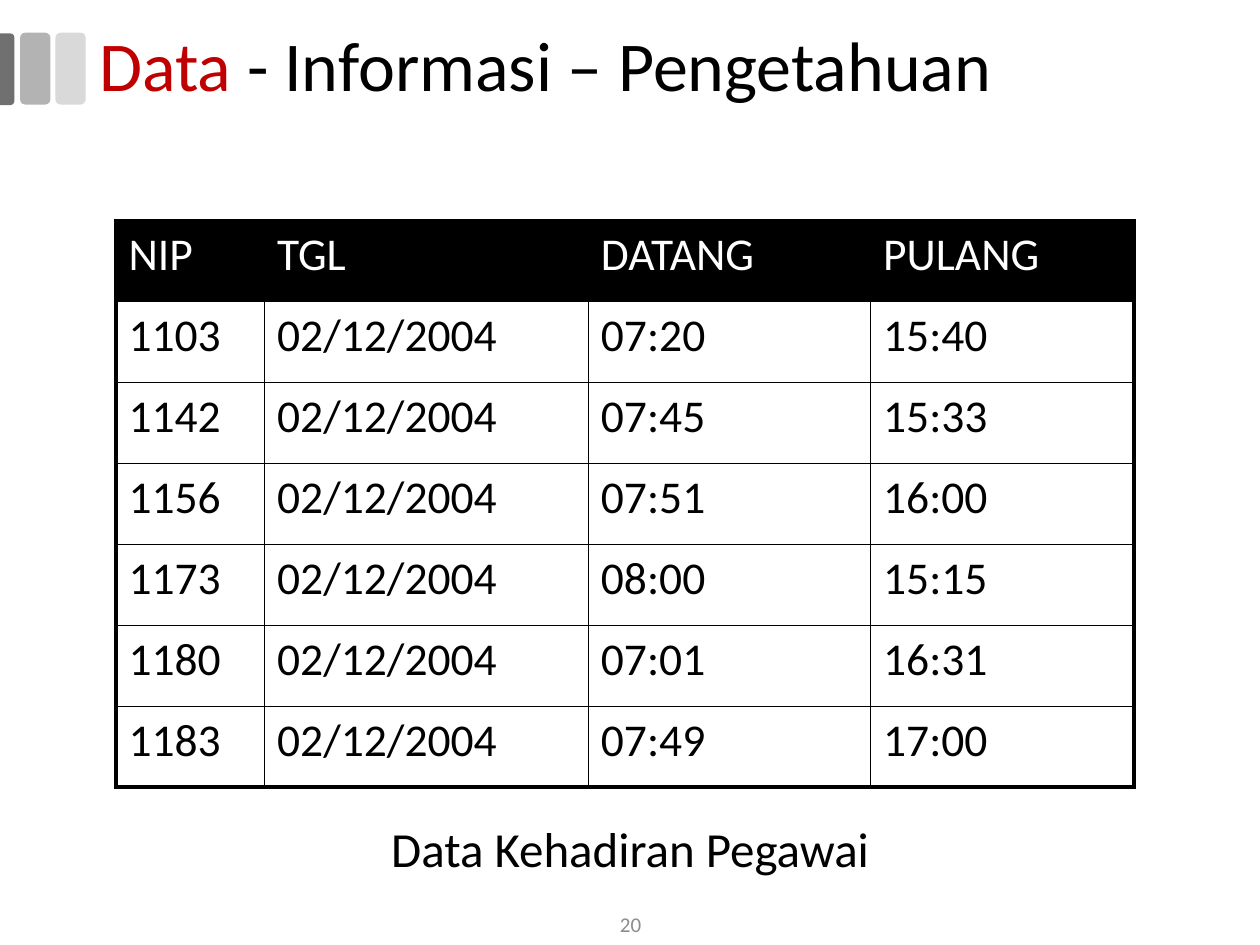
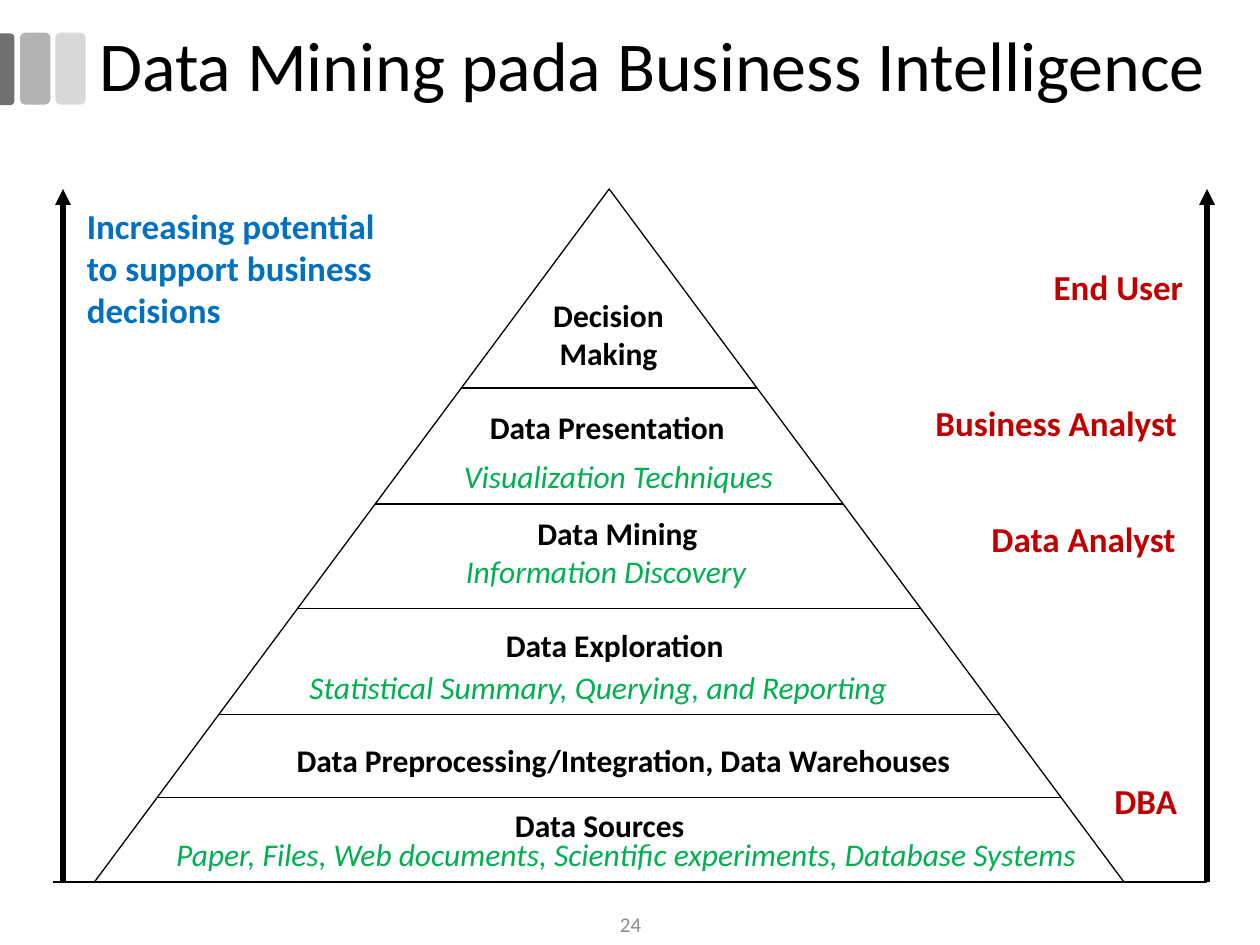
from lxml import etree
from pptx import Presentation
from pptx.dml.color import RGBColor
from pptx.enum import shapes, text
from pptx.oxml import ns
from pptx.util import Inches, Pt

FONT = "Calibri"
BLACK = RGBColor(0x00, 0x00, 0x00)
WHITE = RGBColor(0xFF, 0xFF, 0xFF)
RED = RGBColor(0xC0, 0x00, 0x00)
BLUE = RGBColor(0x00, 0x70, 0xC0)
GREEN = RGBColor(0x00, 0xB0, 0x50)
NUMBER_GRAY = RGBColor(0x8C, 0x8C, 0x8C)
LIGHT_BAND = RGBColor(0xD9, 0xD9, 0xD9)
MID_BAND = RGBColor(0xB3, 0xB3, 0xB3)
DARK_BAND = RGBColor(0x70, 0x70, 0x70)

LEFT, CENTER, RIGHT = text.PP_ALIGN.LEFT, text.PP_ALIGN.CENTER, text.PP_ALIGN.RIGHT
MIDDLE, TOP = text.MSO_ANCHOR.MIDDLE, text.MSO_ANCHOR.TOP
SHAPE = shapes.MSO_SHAPE


def add_run(paragraph, words, size, color, bold=False, italic=False):
    run = paragraph.add_run()
    run.text = words
    font = run.font
    font.name, font.size = FONT, Pt(size)
    font.bold, font.italic = bold, italic
    font.color.rgb = color


def set_border(cell, side, points):
    """Draw one black cell border; side is L, R, T or B. Call before setting the fill."""
    line = etree.SubElement(cell._tc.get_or_add_tcPr(), ns.qn(f"a:ln{side}"), w=str(Pt(points)))
    fill = etree.SubElement(line, ns.qn("a:solidFill"))
    etree.SubElement(fill, ns.qn("a:srgbClr"), val=str(BLACK))


class Deck:
    def __init__(self):
        self.prs = Presentation()
        self.prs.slide_width, self.prs.slide_height = Inches(10), Inches(7.5)
        self.slide = None

    def new_slide(self, title_runs, number):
        """Start a slide with its bands, its title of (words, color) runs and its number."""
        self.slide = self.prs.slides.add_slide(self.prs.slide_layouts[5])
        self.shape(SHAPE.ROUNDED_RECTANGLE, 0.44, 0.26, 0.24, 0.57, fill=LIGHT_BAND)
        self.shape(SHAPE.ROUNDED_RECTANGLE, 0.16, 0.26, 0.24, 0.57, fill=MID_BAND)
        edge = self.shape(SHAPE.ROUND_2_SAME_RECTANGLE, -0.23, 0.49, 0.57, 0.12, fill=DARK_BAND)
        edge.rotation = 90
        edge.adjustments[0] = 0.29

        title = self.slide.shapes.title
        title.left, title.top = Inches(0.69), Inches(0.17)
        title.width, title.height = Inches(9.27), Inches(0.75)
        frame = title.text_frame
        frame.auto_size = text.MSO_AUTO_SIZE.NONE
        frame.vertical_anchor = MIDDLE
        heading = frame.paragraphs[0]
        heading.alignment, heading.line_spacing = LEFT, 0.9
        for words, color in title_runs:
            add_run(heading, words, 40, color)
        self.label([number], 3.88, 7.17, 2.25, 0.33, 12, NUMBER_GRAY, CENTER, anchor=MIDDLE)

    def shape(self, kind, left, top, width, height, fill=None):
        """Add a filled shape without outline, or a thin black outline without fill."""
        shape = self.slide.shapes.add_shape(
            kind, Inches(left), Inches(top), Inches(width), Inches(height))
        shape.shadow.inherit = False
        if fill is None:
            shape.fill.background()
            shape.line.color.rgb, shape.line.width = BLACK, Pt(0.75)
        else:
            shape.fill.solid()
            shape.fill.fore_color.rgb = fill
            shape.line.fill.background()
        return shape

    def label(self, lines, left, top, width, height, size, color, align=LEFT,
              anchor=TOP, spacing=None, **style):
        box = self.slide.shapes.add_textbox(
            Inches(left), Inches(top), Inches(width), Inches(height))
        frame = box.text_frame
        frame.word_wrap, frame.vertical_anchor = True, anchor
        for index, words in enumerate(lines):
            paragraph = frame.add_paragraph() if index else frame.paragraphs[0]
            paragraph.alignment, paragraph.line_spacing = align, spacing
            add_run(paragraph, words, size, color, **style)

    def line(self, x1, y1, x2, y2, points=0.75, arrow=False):
        connector = self.slide.shapes.add_connector(
            shapes.MSO_CONNECTOR.STRAIGHT, Inches(x1), Inches(y1), Inches(x2), Inches(y2))
        connector.line.color.rgb, connector.line.width = BLACK, Pt(points)
        properties = connector._element.spPr
        if arrow:
            etree.SubElement(properties.find(ns.qn("a:ln")), ns.qn("a:tailEnd"), type="triangle")
        etree.SubElement(properties, ns.qn("a:effectLst"))

    def table(self, rows, left, top, widths, height):
        last_row, last_col = len(rows) - 1, len(widths) - 1
        table = self.slide.shapes.add_table(
            len(rows), len(widths), Inches(left), Inches(top),
            Inches(sum(widths)), Inches(height)).table
        table.first_row = table.horz_banding = False
        for column, width in zip(table.columns, widths):
            column.width = Inches(width)
        for r, values in enumerate(rows):
            for c, value in enumerate(values):
                cell = table.cell(r, c)
                outer = {"L": c == 0, "R": c == last_col, "T": r == 0, "B": r == last_row}
                for side, is_outer in outer.items():
                    set_border(cell, side, 2.25 if is_outer else 1)
                if r == 0:
                    cell.fill.solid()
                    cell.fill.fore_color.rgb = BLACK
                else:
                    cell.fill.background()
                add_run(cell.text_frame.paragraphs[0], value, 26, BLACK if r else WHITE)


def attendance_slide(deck):
    deck.new_slide([("Data", RED), (" - Informasi – Pengetahuan", BLACK)], "20")
    attendance = [
        ("1103", "07:20", "15:40"),
        ("1142", "07:45", "15:33"),
        ("1156", "07:51", "16:00"),
        ("1173", "08:00", "15:15"),
        ("1180", "07:01", "16:31"),
        ("1183", "07:49", "17:00"),
    ]
    rows = [("NIP", "TGL", "DATANG", "PULANG")]
    rows += [(nip, "02/12/2004", arrived, left) for nip, arrived, left in attendance]
    deck.table(rows, 0.92, 1.75, [1.18, 2.57, 2.24, 2.09], 4.5)
    deck.label(["Data Kehadiran Pegawai"], 0.69, 6.5, 8.62, 0.62, 28, BLACK, CENTER, spacing=0.9)


def pyramid_slide(deck):
    deck.new_slide([("Data Mining pada Business Intelligence", BLACK)], "24")
    left, apex, width, base = 0.75, 1.5, 8.17, 7
    middle = left + width / 2
    deck.shape(SHAPE.FLOWCHART_EXTRACT, left, apex, width, base - apex)
    for y in (6.33, 5.67, 4.83, 4, 3.08):
        half = width / 2 * (y - apex) / (base - apex)
        deck.line(middle - half, y, middle + half, y)
    for x in (0.5, 9.58):
        deck.line(x, base, x, apex, 3, arrow=True)
    deck.line(0.42, base, 9.58, base)

    deck.label(["Increasing potential", "to support business decisions"],
               0.59, 1.57, 2.65, 1.11, 20, BLUE, bold=True)
    roles = [("End User", 9.49, 2.06), ("Business Analyst", 9.44, 3.14),
             ("Data Analyst", 9.43, 4.06), ("DBA", 9.44, 6.14)]
    for role, right, top in roles:
        deck.label([role], right - 2.77, top, 2.77, 0.44, 20, RED, RIGHT, bold=True)

    # Words, centre, top, width
    levels = [
        ("Decision Making", 4.83, 2.3, 1.33),
        ("Data Presentation", 4.82, 3.19, 2.2),
        ("Data Mining", 4.9, 4.03, 1.95),
        ("Data Exploration", 4.88, 4.92, 2.57),
        ("Data Preprocessing/Integration, Data Warehouses", 4.95, 5.83, 5.6),
        ("Data Sources", 4.76, 6.35, 1.7),
    ]
    techniques = [
        ("Visualization Techniques", 4.91, 3.58, 2.8),
        ("Information Discovery", 4.81, 4.33, 2.7),
        ("Statistical Summary, Querying, and Reporting", 4.75, 5.25, 5),
        ("Paper, Files, Web documents, Scientific experiments, Database Systems", 4.97, 6.58, 7.78),
    ]
    for entries, color, style in ((levels, BLACK, {"bold": True}),
                                  (techniques, GREEN, {"italic": True})):
        for words, center, top, span in entries:
            deck.label([words], center - span / 2, top, span, 0.4, 18, color, CENTER, **style)


def main():
    deck = Deck()
    attendance_slide(deck)
    pyramid_slide(deck)
    deck.prs.save("out.pptx")


if __name__ == "__main__":
    main()
